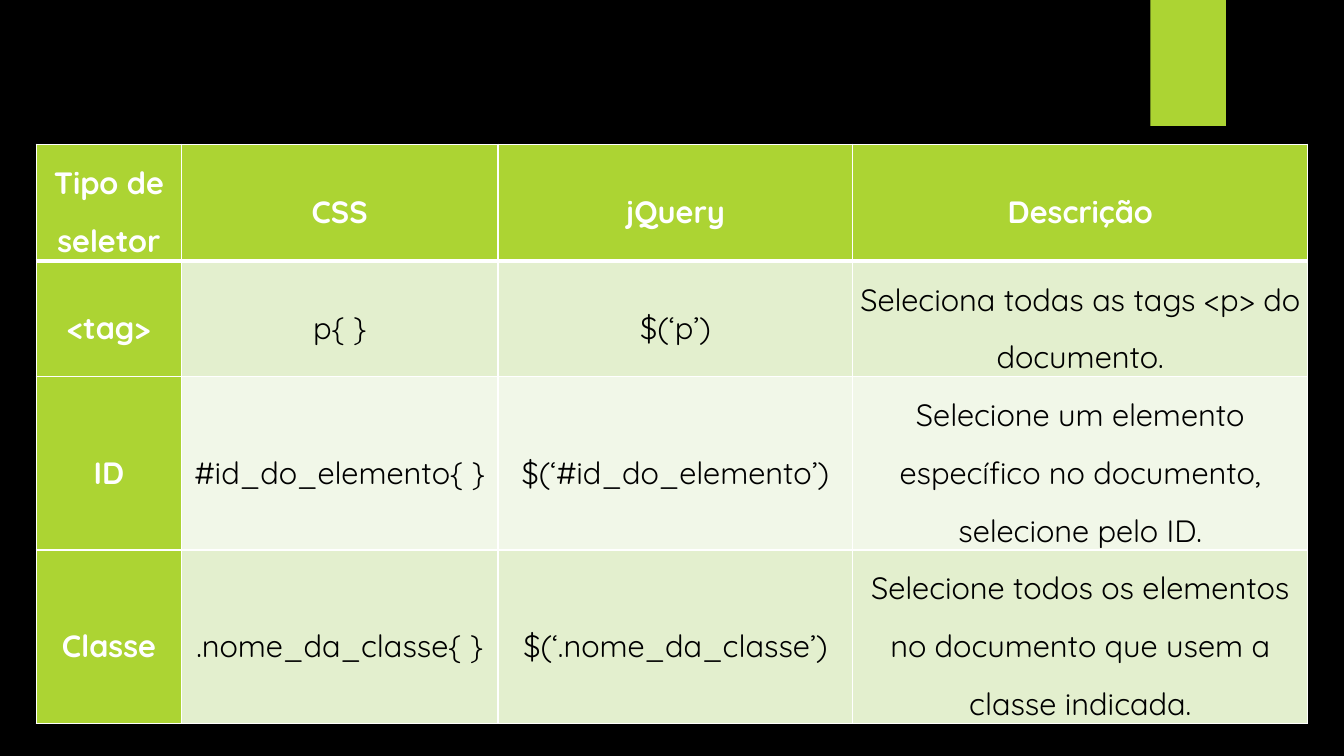
import pptx
import pptx.dml.color
import pptx.enum.shapes
import pptx.enum.text
import pptx.oxml.ns
import pptx.util
from lxml import etree

Inches = pptx.util.Inches
Pt = pptx.util.Pt

BLACK, WHITE, LIME = "000000", "FFFFFF", "ACD433"
BANDS = ("E3EFCE", "F1F7E8")

COLUMN_WIDTHS = (1.44, 3.14, 3.52, 4.51)
ROW_HEIGHTS = (1.16, 1.14, 1.72, 1.72)
SELECTORS = (
    ("Tipo de seletor", "CSS", "jQuery", "Descrição"),
    ("<tag>", "p{ }", "$(‘p’)", "Seleciona todas as tags <p> do documento."),
    ("ID", "#id_do_elemento{ }", "$(‘#id_do_elemento’)",
     "Selecione um elemento específico no documento, selecione pelo ID."),
    ("Classe", ".nome_da_classe{ }", "$(‘.nome_da_classe’)",
     "Selecione todos os elementos no documento que usem a classe indicada."),
)


def color(value):
    return pptx.dml.color.RGBColor.from_string(value)


class SlideBuilder:
    font_name = "Quicksand"
    font_size = 22

    def __init__(self, slide):
        self.slide = slide

    def background(self, fill):
        self.slide.background.fill.solid()
        self.slide.background.fill.fore_color.rgb = color(fill)

    def rectangle(self, left, top, width, height, fill):
        shape = self.slide.shapes.add_shape(
            pptx.enum.shapes.MSO_SHAPE.RECTANGLE,
            Inches(left), Inches(top), Inches(width), Inches(height))
        shape.shadow.inherit = False
        shape.fill.solid()
        shape.fill.fore_color.rgb = color(fill)
        shape.line.fill.background()

    def border(self, cell, side, width):
        properties = cell._tc.get_or_add_tcPr()
        line = etree.SubElement(properties, pptx.oxml.ns.qn("a:ln" + side), w=str(Pt(width)))
        fill = etree.SubElement(line, pptx.oxml.ns.qn("a:solidFill"))
        etree.SubElement(fill, pptx.oxml.ns.qn("a:srgbClr"), val=WHITE)

    def cell(self, cell, text, fill, text_color, bold, borders):
        # Borders come before the fill in the cell properties
        for side, width in borders.items():
            self.border(cell, side, width)
        cell.fill.solid()
        cell.fill.fore_color.rgb = color(fill)
        cell.vertical_anchor = pptx.enum.text.MSO_ANCHOR.MIDDLE
        cell.margin_left = cell.margin_right = Inches(0.07)
        cell.margin_top = cell.margin_bottom = 0
        paragraph = cell.text_frame.paragraphs[0]
        paragraph.alignment = pptx.enum.text.PP_ALIGN.CENTER
        paragraph.line_spacing = 1.5
        run = paragraph.add_run()
        run.text = text
        run.font.name = self.font_name
        run.font.size = Pt(self.font_size)
        run.font.bold = bold
        run.font.color.rgb = color(text_color)

    def table(self, left, top, widths, heights, rows):
        table = self.slide.shapes.add_table(
            len(rows), len(widths), Inches(left), Inches(top),
            Inches(sum(widths)), Inches(sum(heights))).table
        for column, width in zip(table.columns, widths):
            column.width = Inches(width)
        for row, height in zip(table.rows, heights):
            row.height = Inches(height)
        for row_index, texts in enumerate(rows):
            # A thick rule separates the header from the body
            borders = {"L": 1, "R": 1, "T": 3 if row_index == 1 else 1,
                       "B": 3 if row_index == 0 else 1}
            for column_index, text in enumerate(texts):
                heading = row_index == 0 or column_index == 0
                fill = LIME if heading else BANDS[(row_index - 1) % 2]
                self.cell(table.cell(row_index, column_index), text, fill,
                          WHITE if heading else BLACK, heading, borders)


def main():
    presentation = pptx.Presentation()
    presentation.slide_width = Inches(13.33)
    presentation.slide_height = Inches(7.5)
    builder = SlideBuilder(presentation.slides.add_slide(presentation.slide_layouts[6]))

    # Backdrop and accent tab
    builder.background(BLACK)
    builder.rectangle(11.41, 0, 0.75, 1.25, LIME)

    # Selector comparison
    builder.table(0.36, 1.43, COLUMN_WIDTHS, ROW_HEIGHTS, SELECTORS)

    presentation.save("out.pptx")


if __name__ == "__main__":
    main()
